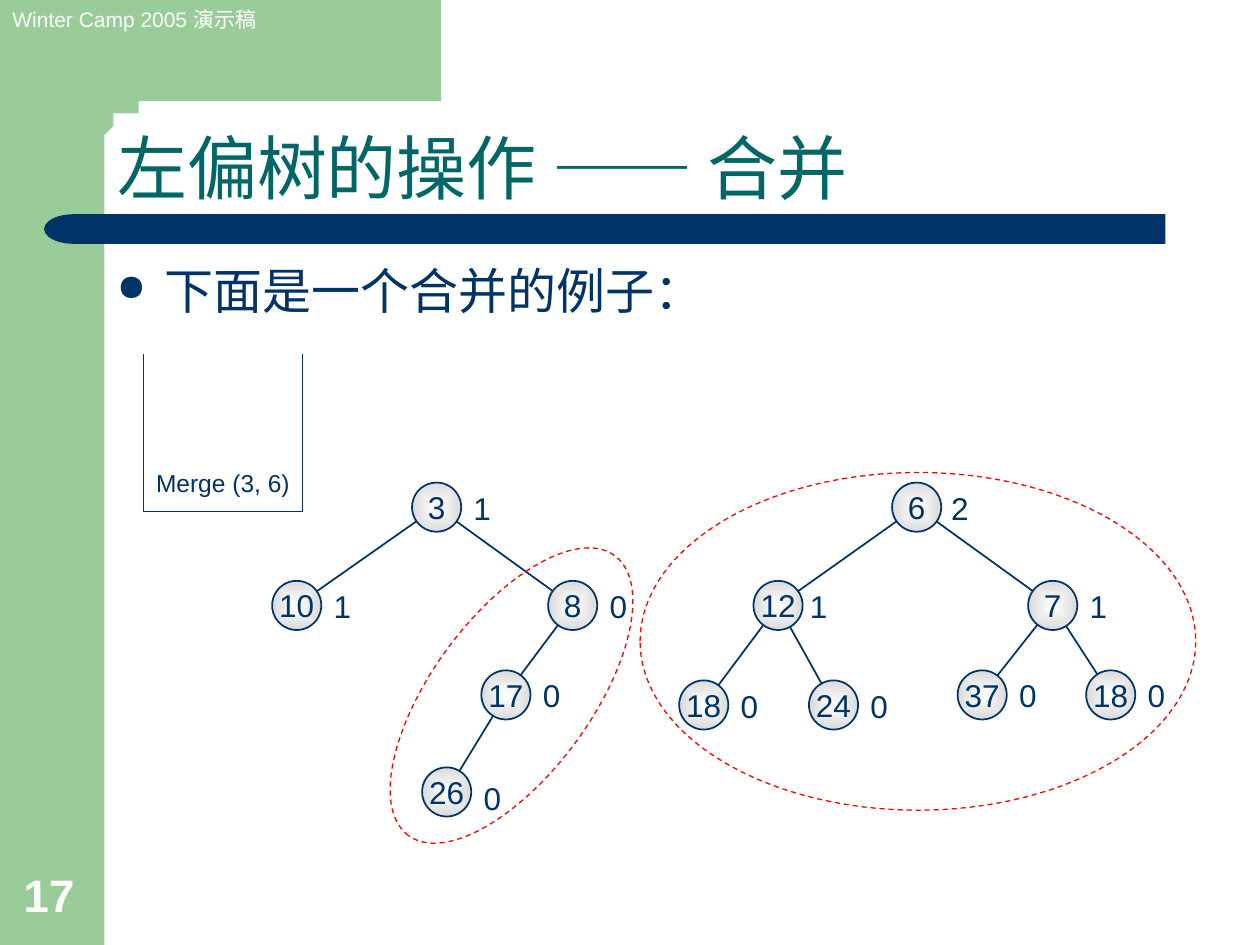
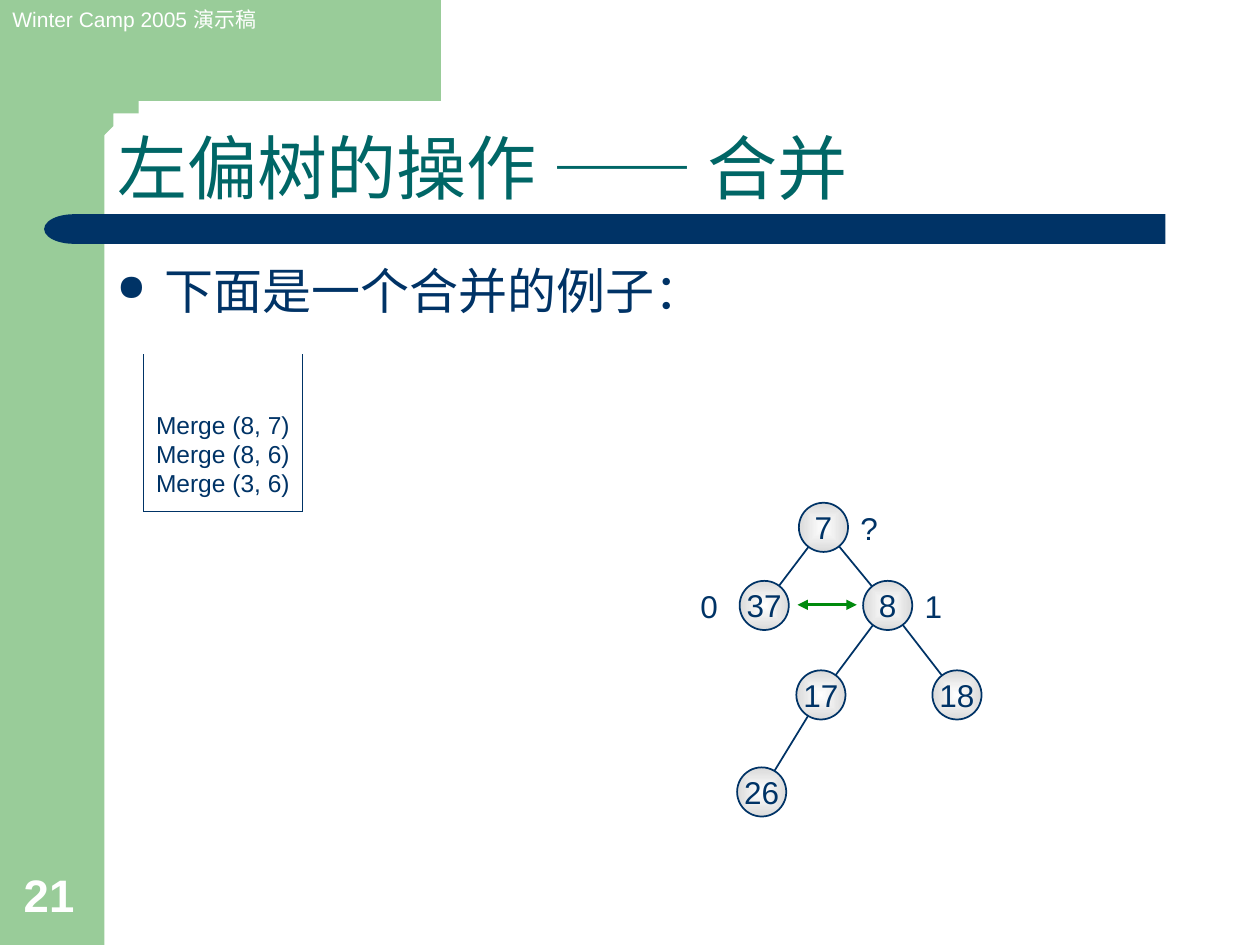
from dataclasses import dataclass
from math import cos, pi, sin

from lxml.etree import SubElement
from pptx import Presentation
from pptx.dml.color import RGBColor
from pptx.enum.dml import MSO_LINE_DASH_STYLE as Dash
from pptx.enum.shapes import MSO_CONNECTOR as Conn, MSO_SHAPE as Kind
from pptx.enum.text import MSO_ANCHOR as Anchor, MSO_AUTO_SIZE as Fit, PP_ALIGN as Align
from pptx.oxml.ns import qn
from pptx.util import Inches, Pt

# The slide is a grid of 100 columns by 75 rows
COLS, ROWS = 100, 75
CELL = Inches(0.1)
GREEN, NAVY, TEAL, RED, ARROW = "99CC99", "003366", "006666", "FF0000", "008A0D"
WHITE, GREY = "FFFFFF", "DADADA"
LATIN, HAN = "Arial", "Noto Sans CJK SC"

# Tree measures: node size and the centre rows of the levels
SIZE = 3.9
TOP, SECOND, THIRD, FOURTH = 40.25, 48.05, 55.15, 62.85


@dataclass
class Node:
    key: str
    x: float
    y: float
    rank: str = ""
    gap: float = SIZE
    drop: float = 0
    kids: tuple = ()


def rgb(code):
    return RGBColor.from_string(code)


def grid(*cells):
    return [round(cell * CELL) for cell in cells]


# Elements
def style(para, size, color, bold=False):
    font = para.font
    font.name, font.size, font.bold = LATIN, Pt(size), bold
    font.color.rgb = rgb(color)
    for run in para.runs:
        SubElement(run._r.get_or_add_rPr(), qn("a:ea"), typeface=HAN)


def label(slide, box, text, size=18, color=NAVY, anchor=Anchor.TOP, wrap=True, bold=False):
    frame = slide.shapes.add_textbox(*grid(*box)).text_frame
    frame.text = text
    frame.word_wrap, frame.vertical_anchor = wrap, anchor
    for para in frame.paragraphs:
        style(para, size, color, bold)
    return frame


def block(slide, kind, box, fill=None):
    shape = slide.shapes.add_shape(kind, *grid(*box))
    shape.shadow.inherit = False
    shape.line.fill.background()
    if fill:
        shape.fill.solid()
        shape.fill.fore_color.rgb = rgb(fill)
    else:
        shape.fill.background()
    return shape


def line(slide, start, end, color=NAVY, width=1, heads=False):
    link = slide.shapes.add_connector(Conn.STRAIGHT, *grid(*start, *end))
    link.line.color.rgb = rgb(color)
    link.line.width = Pt(width)
    if heads:
        for tag in ("a:headEnd", "a:tailEnd"):
            SubElement(link.line._get_or_add_ln(), qn(tag), type="triangle")
    SubElement(link.element.spPr, qn("a:effectLst"))


def ring(slide, box, turn=0):
    shape = block(slide, Kind.OVAL, box)
    shape.rotation = turn
    shape.line.color.rgb = rgb(RED)
    shape.line.width = Pt(0.75)
    shape.line.dash_style = Dash.DASH


def shade(shape):
    """Fill a shape with a gradient that runs from its centre outwards."""
    shape.fill.gradient()
    for stop, color in zip(shape.fill.gradient_stops, (WHITE, GREY)):
        stop.color.rgb = rgb(color)
    grad = shape.element.spPr.find(qn("a:gradFill"))
    grad.remove(grad.find(qn("a:lin")))
    way = SubElement(grad, qn("a:path"), path="shape")
    SubElement(way, qn("a:fillToRect"), dict.fromkeys("ltrb", "50000"))


def disc(slide, node):
    left, top = node.x - SIZE / 2, node.y - SIZE / 2
    shape = block(slide, Kind.OVAL, (left, top, SIZE, SIZE))
    shade(shape)
    shape.line.color.rgb = rgb(NAVY)
    shape.line.width = Pt(1)
    frame = shape.text_frame
    frame.text = node.key
    frame.word_wrap, frame.vertical_anchor = False, Anchor.MIDDLE
    frame.paragraphs[0].alignment = Align.CENTER
    style(frame.paragraphs[0], 18, NAVY)
    if node.rank:
        label(slide, (left + node.gap, top + node.drop, 3.4, 4), node.rank, wrap=False)


def tree(slide, node):
    for kid in node.kids:
        line(slide, (node.x, node.y), (kid.x, kid.y))
        tree(slide, kid)
    disc(slide, node)


def stack(slide, calls):
    """Show the pending calls in an open box, the latest on top."""
    left, right, top, base = 11.4, 24, 28.1, 40.6
    label(slide, (left, 29.7, right - left, 10.3), "\n".join(calls), 14, anchor=Anchor.BOTTOM)
    ends = [(left, top), (left, base), (right, base), (right, top)]
    for start, end in zip(ends, ends[1:]):
        line(slide, start, end, width=0.75)


# Shared parts
def frame_up(slide, layout):
    """Draw the bands and the header, then hand them to the layout."""
    block(slide, Kind.RECTANGLE, (0, 0, 8.3, ROWS), GREEN)
    bend = 3.3
    arc = [(8.3 + bend * (1 - sin(a)), 8.4 + bend * (1 - cos(a)))
           for a in (pi / 2 * i / 12 for i in range(13))]
    pen = slide.shapes.build_freeform(5, 0, scale=CELL)
    pen.add_line_segments([(35, 0), (35, 8.4), *arc, (8.3, 12.8), (5, 12.8)], close=True)
    tab = pen.convert_to_shape()
    tab.shadow.inherit = False
    tab.fill.solid()
    tab.fill.fore_color.rgb = rgb(GREEN)
    tab.line.fill.background()
    block(slide, Kind.RECTANGLE, (8.1, 17, 84.4, 2.35), NAVY)
    block(slide, Kind.FLOWCHART_DELAY, (3.5, 17, 4.7, 2.35), NAVY).rotation = 180
    label(slide, (0, 0, 22.8, 3), "Winter Camp 2005 演示稿", 12, WHITE)
    for shape in list(slide.shapes):
        if not shape.is_placeholder:
            layout.shapes.element.append(shape.element)


def heading(slide):
    title = slide.shapes.title
    title.left, title.top, title.width, title.height = grid(8.3, 8.4, 85.1, 8.7)
    frame = title.text_frame
    frame.auto_size, frame.vertical_anchor = Fit.NONE, Anchor.BOTTOM
    para = frame.paragraphs[0]
    para.alignment, para.line_spacing = Align.LEFT, 0.9
    for part in ("左偏树的操作 ", "—— ", "合并"):
        para.add_run().text = part
    para.runs[1].font.name = HAN
    style(para, 40, TEAL)


def bullet(slide, text):
    para = label(slide, (8.3, 20.2, 84.3, 48.8), text, 28).paragraphs[0]
    props = para._p.get_or_add_pPr()
    props.set("marL", str(Inches(0.38)))
    props.set("indent", str(-Inches(0.38)))
    mark = SubElement(props, qn("a:buClr"))
    SubElement(mark, qn("a:srgbClr"), val=NAVY)
    SubElement(props, qn("a:buSzPct"), val="75000")
    SubElement(props, qn("a:buChar"), char="●")
    props.append(props.find(qn("a:defRPr")))


def page(deck, layout, number, calls):
    slide = deck.slides.add_slide(layout)
    heading(slide)
    bullet(slide, "下面是一个合并的例子：")
    stack(slide, calls)
    label(slide, (0.9, 68.3, 6.4, 5.3), number, 26, WHITE, Anchor.BOTTOM, bold=True)
    return slide


# Trees
def heap(x, ranks, extra=()):
    """The tree under 8, which both slides show."""
    eight, seventeen, last = ranks
    leaf = Node("26", x - 10, FOURTH, last, drop=0.4)
    kid = Node("17", x - 5.3, THIRD, seventeen, kids=(leaf,))
    return Node("8", x, SECOND, eight, kids=(kid, *extra))


def left_tree():
    return Node("3", 34.65, TOP, "1", kids=(
        Node("10", 23.55, SECOND, "1"), heap(45.45, "000")))


def right_tree():
    low = THIRD + 0.8
    twelve = Node("12", 61.75, SECOND, "1", gap=3.5, kids=(
        Node("18", 55.85, low, "0"), Node("24", 66.15, low, "0")))
    seven = Node("7", 83.55, SECOND, "1", kids=(
        Node("37", 77.95, THIRD, "0"), Node("18", 88.15, THIRD, "0")))
    return Node("6", 72.75, TOP, "2", gap=3.7, kids=(twelve, seven))


def merged():
    eight = heap(70.45, ("1", "", ""), (Node("18", 75.95, THIRD),))
    return Node("7", 65.35, 41.85, "?", kids=(
        Node("37", 60.65, SECOND, "0", gap=-4.1), eight))


def main():
    deck = Presentation()
    deck.slide_width, deck.slide_height = grid(COLS, ROWS)
    layout = deck.slide_layouts[5]

    # Two trees before the merge
    calls = ["Merge (8, 7)", "Merge (8, 6)", "Merge (3, 6)"]
    slide = deck.slides.add_slide(layout)
    frame_up(slide, layout)
    heading(slide)
    bullet(slide, "下面是一个合并的例子：")
    deck_first(slide, "17", calls[-1:])
    tree(slide, right_tree())
    tree(slide, left_tree())
    ring(slide, (26.8, 48.9, 27.6, 12.6), 306.4)
    ring(slide, (50.8, 37.5, 44.1, 26.8))

    # Children to be swapped
    slide = page(deck, layout, "21", calls)
    tree(slide, merged())
    line(slide, (63.3, 48), (68, 48), ARROW, 1.5, heads=True)

    deck.save("out.pptx")


def deck_first(slide, number, calls):
    stack(slide, calls)
    label(slide, (0.9, 68.3, 6.4, 5.3), number, 26, WHITE, Anchor.BOTTOM, bold=True)


if __name__ == "__main__":
    main()
